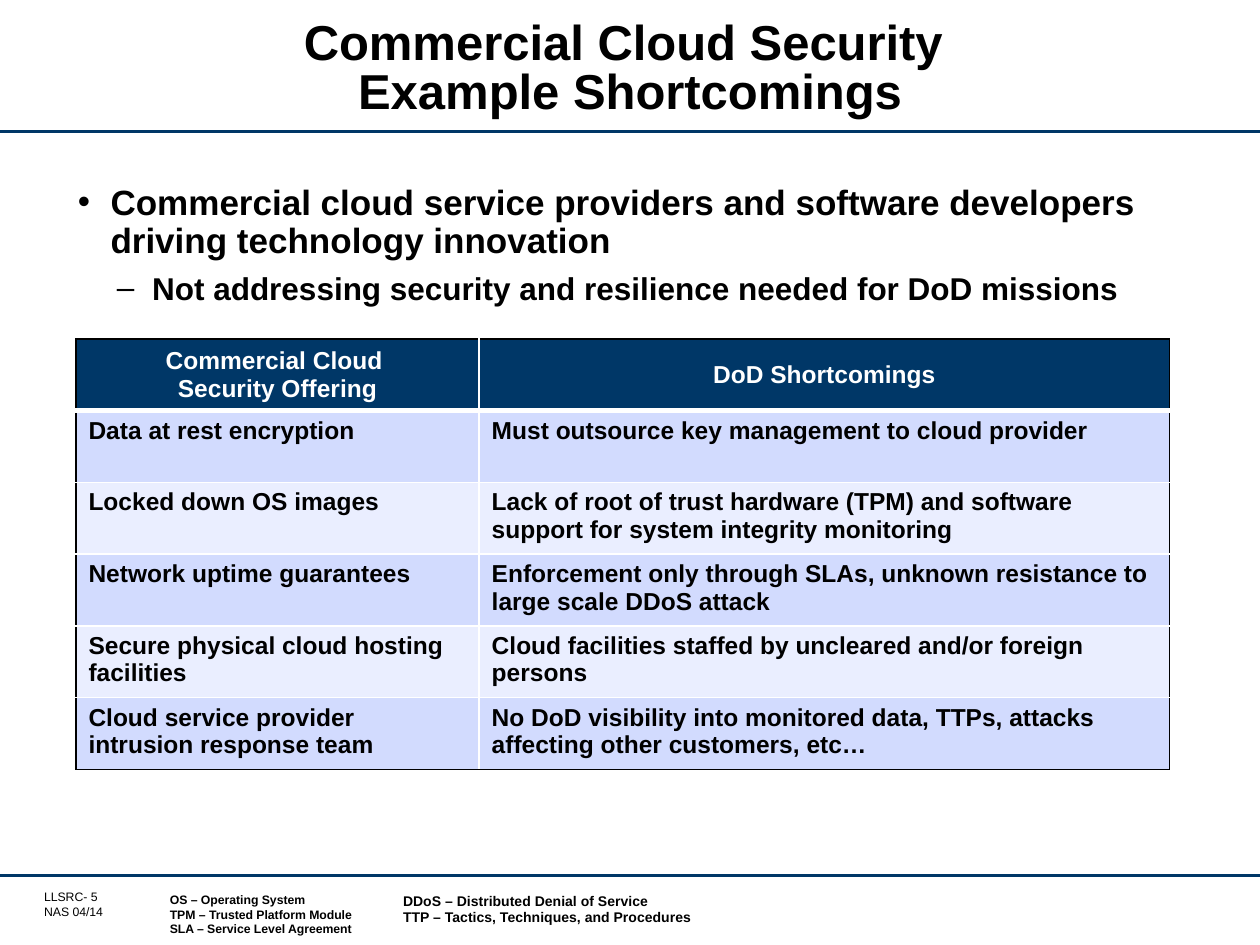
from copy import deepcopy
from dataclasses import dataclass

from lxml import etree
from pptx import Presentation
from pptx.dml.color import RGBColor
from pptx.enum import shapes, text
from pptx.oxml import ns
from pptx.util import Pt


@dataclass(frozen=True)
class Theme:
    font: str = "Arial"
    navy: str = "003767"
    black: str = "000000"
    white: str = "FFFFFF"
    bands: tuple = ("D2DBFE", "EAEEFF")
    title: float = 28
    bullet: float = 20
    sub_bullet: float = 18
    cell: float = 14
    term: float = 8
    small: float = 7


THEME = Theme()


@dataclass(frozen=True)
class Line:
    words: str
    size: float
    bold: bool = True
    color: str = THEME.black
    centred: bool = False
    spacing: float = 0  # exact line spacing, 0 for single
    before: float = 0
    bullet: str = ""
    margin: float = 0
    hanging: float = 0


@dataclass(frozen=True)
class TextBlock:
    left: float
    top: float
    width: float
    height: float
    lines: tuple
    inset: tuple = (7.2, 3.6)
    anchor: text.MSO_ANCHOR = text.MSO_ANCHOR.TOP


def write_line(paragraph, line: Line) -> None:
    paragraph.text = line.words
    if line.centred:
        paragraph.alignment = text.PP_ALIGN.CENTER
    if line.spacing:
        paragraph.line_spacing = Pt(line.spacing)
    paragraph.space_before = Pt(line.before)
    font_values = {"name": THEME.font, "size": Pt(line.size), "bold": line.bold}
    for run in paragraph.runs:
        for attribute, value in font_values.items():
            setattr(run.font, attribute, value)
        run.font.color.rgb = RGBColor.from_string(line.color)
    # Line breaks take the run format so that they keep the line height
    for line_break in paragraph._p.findall(ns.qn("a:br")):
        line_break.append(deepcopy(paragraph.runs[0].font._element))
    if line.bullet:
        properties = paragraph._p.get_or_add_pPr()
        properties.set("marL", str(Pt(line.margin)))
        properties.set("indent", str(Pt(-line.hanging)))
        etree.SubElement(properties, ns.qn("a:buFont"), typeface=THEME.font)
        etree.SubElement(properties, ns.qn("a:buChar"), char=line.bullet)


def write_lines(frame, lines: tuple) -> None:
    for index, line in enumerate(lines):
        write_line(frame.add_paragraph() if index else frame.paragraphs[0], line)


def draw_text(slide, block: TextBlock) -> None:
    box = slide.shapes.add_textbox(
        Pt(block.left), Pt(block.top), Pt(block.width), Pt(block.height))
    across, down = map(Pt, block.inset)
    frame_values = {
        "word_wrap": True, "vertical_anchor": block.anchor,
        "margin_left": across, "margin_right": across,
        "margin_top": down, "margin_bottom": down,
    }
    for attribute, value in frame_values.items():
        setattr(box.text_frame, attribute, value)
    write_lines(box.text_frame, block.lines)


def draw_rule(slide, top: float) -> None:
    rule = slide.shapes.add_connector(
        shapes.MSO_CONNECTOR.STRAIGHT, Pt(0), Pt(top), Pt(720), Pt(top))
    rule.line.color.rgb = RGBColor.from_string(THEME.navy)
    rule.line.width = Pt(1.75)
    etree.SubElement(rule._element.spPr, ns.qn("a:effectLst"))


def set_borders(cell, borders: dict) -> None:
    properties = cell._tc.get_or_add_tcPr()
    for side, (color, width) in borders.items():
        edge = etree.SubElement(properties, ns.qn(f"a:ln{side}"), w=str(Pt(width)))
        fill = etree.SubElement(edge, ns.qn("a:solidFill"))
        etree.SubElement(fill, ns.qn("a:srgbClr"), val=color)


def draw_table(slide, left: float, top: float, widths: tuple,
               row_height: float, rows: tuple) -> None:
    last_row, last_column = len(rows) - 1, len(widths) - 1
    table = slide.shapes.add_table(
        len(rows), len(widths), Pt(left), Pt(top),
        Pt(sum(widths)), Pt(row_height * len(rows))).table
    for column, width in zip(table.columns, widths):
        column.width = Pt(width)
    outer, inner, under_header = (THEME.black, 1), (THEME.white, 1), (THEME.white, 3)
    for r, row in enumerate(rows):
        table.rows[r].height = Pt(row_height)
        header = r == 0
        for c, words in enumerate(row):
            cell = table.cell(r, c)
            set_borders(cell, {
                "L": outer if c == 0 else inner,
                "R": outer if c == last_column else inner,
                "T": outer if header else under_header if r == 1 else inner,
                "B": under_header if header else outer if r == last_row else inner,
            })
            cell.fill.solid()
            cell.fill.fore_color.rgb = RGBColor.from_string(
                THEME.navy if header else THEME.bands[(r - 1) % 2])
            cell.vertical_anchor = (
                text.MSO_ANCHOR.MIDDLE if header else text.MSO_ANCHOR.TOP)
            write_line(cell.text_frame.paragraphs[0], Line(
                words, THEME.cell, centred=header,
                color=THEME.white if header else THEME.black))


SHORTCOMINGS = (
    ("Commercial Cloud \vSecurity Offering", "DoD Shortcomings"),
    ("Data at rest encryption", "Must outsource key management to cloud provider"),
    ("Locked down OS images",
     "Lack of root of trust hardware (TPM) and software support for system "
     "integrity monitoring"),
    ("Network uptime guarantees",
     "Enforcement only through SLAs, unknown resistance to large scale DDoS attack"),
    ("Secure physical cloud hosting facilities",
     "Cloud facilities staffed by uncleared and/or foreign persons"),
    ("Cloud service provider intrusion response team",
     "No DoD visibility into monitored data, TTPs, attacks affecting other "
     "customers, etc…"),
)

TEXT_BLOCKS = (
    # Page mark
    TextBlock(25.2, 508.3, 85.7, 17.3, (
        Line("LLSRC- 5", THEME.small, bold=False),
        Line("NAS 04/14", THEME.small, bold=False)), inset=(0, 0)),
    # Title
    TextBlock(74.2, 7.9, 571.7, 64.1, (
        Line("Commercial Cloud Security \vExample Shortcomings", THEME.title,
             centred=True, spacing=28),), anchor=text.MSO_ANCHOR.MIDDLE),
    # Main points
    TextBlock(37.4, 101.5, 645.1, 90, (
        Line("Commercial cloud service providers and software developers driving "
             "technology innovation", THEME.bullet, spacing=22, before=12,
             bullet="•", margin=18.7, hanging=18.7),
        Line("Not addressing security and resilience needed for DoD missions",
             THEME.sub_bullet, spacing=20, before=6,
             bullet="–", margin=42.5, hanging=20.2))),
    # Glossary
    TextBlock(90, 506.2, 130, 32.4, tuple(Line(term, THEME.small) for term in (
        "OS – Operating System",
        "TPM – Trusted Platform Module",
        "SLA – Service Level Agreement"))),
    TextBlock(223.2, 506.2, 187.9, 26.6, tuple(Line(term, THEME.term) for term in (
        "DDoS – Distributed Denial of Service",
        "TTP – Tactics, Techniques, and Procedures"))),
)


def main() -> None:
    deck = Presentation()
    deck.slide_width, deck.slide_height = Pt(720), Pt(540)
    slide = deck.slides.add_slide(deck.slide_layouts[6])
    # Header and footer rules
    for top in (74.9, 500.4):
        draw_rule(slide, top)
    for block in TEXT_BLOCKS:
        draw_text(slide, block)
    # Offerings against shortcomings
    draw_table(slide, 43.4, 193.7, (230.4, 394.6), 41, SHORTCOMINGS)
    deck.save("out.pptx")


if __name__ == "__main__":
    main()
